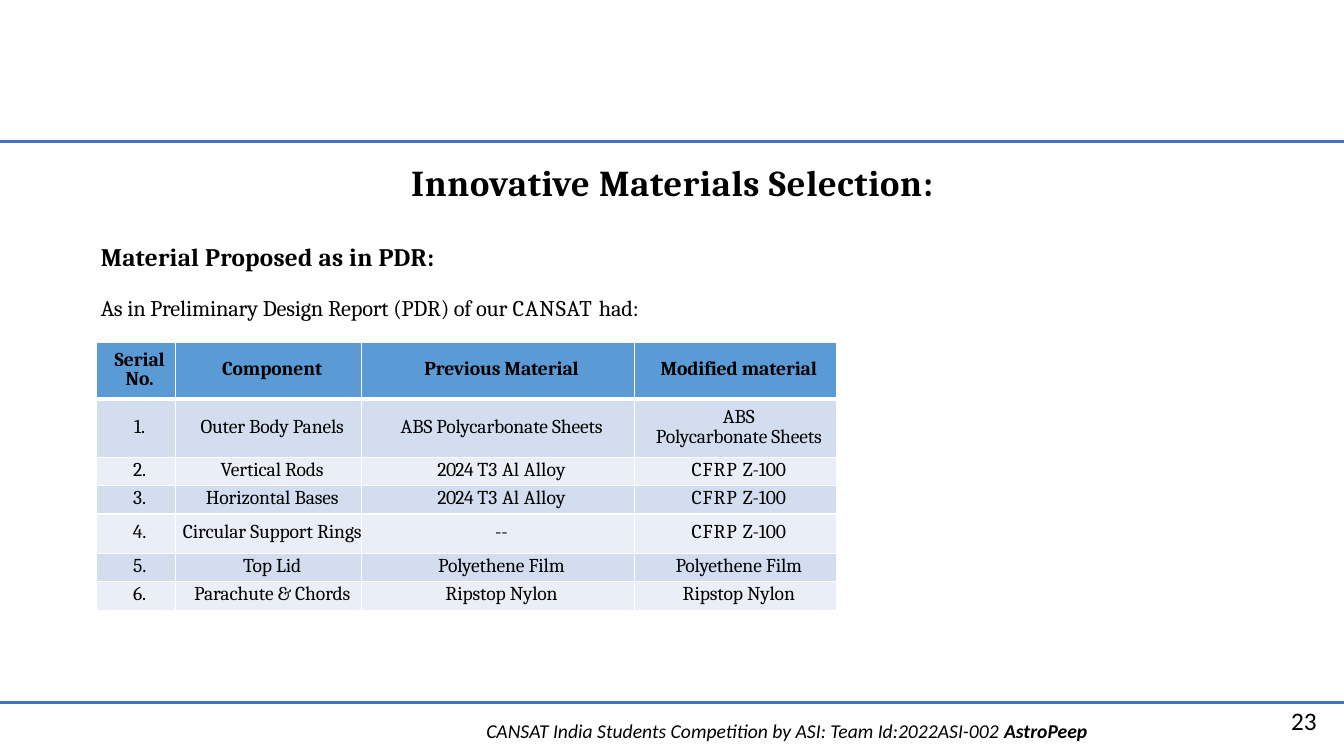
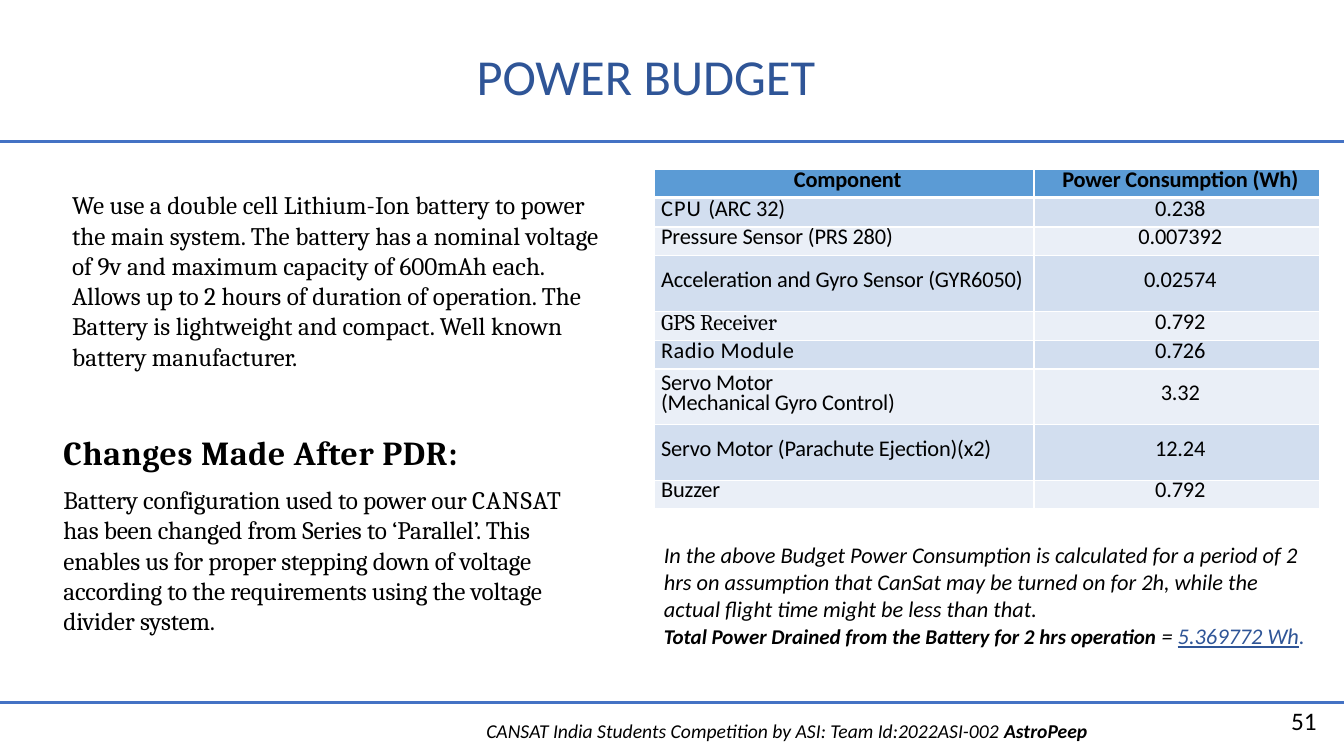
import pptx
import pptx.dml.color
import pptx.enum.shapes
import pptx.enum.text
import pptx.oxml
import pptx.oxml.ns
import pptx.util
from dataclasses import dataclass

Cm = pptx.util.Cm
Pt = pptx.util.Pt
LEFT = pptx.enum.text.PP_ALIGN.LEFT
CENTER = pptx.enum.text.PP_ALIGN.CENTER
RIGHT = pptx.enum.text.PP_ALIGN.RIGHT


@dataclass(frozen=True)
class Theme:
    serif: str = "Cambria"
    sans: str = "Calibri"
    ink: str = "000000"
    accent: str = "2F5597"
    rule: str = "4472C4"
    border: str = "FFFFFF"
    header: str = "5B9BD5"
    bands: tuple = ("D2DEEF", "EAEFF7")
    title: int = 36
    heading: int = 26
    subheading: int = 24
    body: int = 18
    note: int = 16
    total: int = 15
    small: int = 14


THEME = Theme()
SLIDE_WIDTH, SLIDE_HEIGHT = 33.87, 19.05
RULES = (3.56, 17.7)
TIGHT = (0.03, 0.03, 0, 0)
NORMAL = (0.25, 0.13, 0.25, 0.13)

# A paragraph is a string or a list of (text, format) spans.
FOOTER = [
    ("CANSAT India Students Competition by ASI: Team Id:2022ASI-002 ", {}),
    ("AstroPeep", {"bold": True}),
]
CFRP = [("CFRP ", {"spacing": 0.6}), ("Z-100", {})]
ALLOY = [("2024 ", {"spacing": -0.5}), ("T3 Al Alloy", {"spacing": 0.1})]

MATERIALS = {
    "place": (2.44, 8.64),
    "columns": (1.98, 4.7, 6.86, 5.1),
    "heights": (1.42, 1.47, 0.71, 0.71, 0.99, 0.71, 0.74),
    "aligns": (CENTER,) * 4,
    "style": {"size": THEME.small, "font": THEME.serif, "spacing": -0.1},
    "rows": [
        ("Serial No.", "Component", "Previous Material", "Modified material"),
        ("1.", "Outer Body Panels", "ABS Polycarbonate Sheets",
         "ABS\nPolycarbonate Sheets"),
        ("2.", "Vertical Rods", ALLOY, CFRP),
        ("3.", "Horizontal Bases", ALLOY, CFRP),
        ("4.", "Circular Support Rings", "--", CFRP),
        ("5.", "Top Lid", "Polyethene Film", "Polyethene Film"),
        ("6.", "Parachute & Chords", "Ripstop Nylon", "Ripstop Nylon"),
    ],
}

POWER = {
    "place": (16.48, 4.27),
    "columns": (9.58, 7.19),
    "heights": (0.71, 0.74, 0.71, 1.42, 0.74, 0.71, 1.4, 1.4, 0.71),
    "aligns": (LEFT, CENTER),
    "style": {"size": THEME.note, "font": THEME.sans, "spacing": -0.1},
    "rows": [
        ("Component", "Power Consumption (Wh)"),
        ([("CPU ", {"spacing": 0.8}), ("(ARC 32)", {})], "0.238"),
        ("Pressure Sensor (PRS 280)", "0.007392"),
        ("Acceleration and Gyro Sensor (GYR6050)", "0.02574"),
        ([("GPS Receiver", {"font": THEME.serif, "spacing": 0})], "0.792"),
        ([("Radio Module", {"spacing": 0.4})], "0.726"),
        ("Servo Motor\n(Mechanical Gyro Control)", "3.32"),
        ("Servo Motor (Parachute Ejection)(x2)", "12.24"),
        ("Buzzer", "0.792"),
    ],
}

BATTERY = (
    "We use a double cell Lithium-Ion battery to power the main system. "
    "The battery has a nominal voltage of 9v and maximum capacity of 600mAh "
    "each. Allows up to 2 hours of duration of operation. The Battery is "
    "lightweight and compact. Well known battery manufacturer."
)
CHANGES = [
    [("Changes Made After PDR:",
      {"size": THEME.subheading, "bold": True, "spacing": 0.45})],
    [("Battery configuration used to power our ", {}),
     ("CANSAT ", {"spacing": 0.7}),
     ("has been changed from Series to ‘Parallel’. This enables us for proper "
      "stepping down of voltage according to the requirements using the "
      "voltage divider system.", {})],
]
POWER_NOTE = [
    "In the above Budget Power Consumption is calculated for a period of 2 hrs "
    "on assumption that CanSat may be turned on for 2h, while the actual "
    "flight time might be less than that.",
    [("Total Power Drained from the Battery for 2 hrs operation ",
      {"size": THEME.total, "bold": True}),
     ("= ", {}),
     ("5.369772 Wh", {"color": THEME.accent, "underline": True}),
     (".", {"color": THEME.accent})],
]
PDR_INTRO = [
    ("As in Preliminary Design Report (PDR) of our ", {}),
    ("CANSAT ", {"spacing": 0.7}),
    ("had:", {}),
]


def rgb(value):
    return pptx.dml.color.RGBColor.from_string(value)


def write(para, text, size=THEME.body, font=THEME.sans, color=THEME.ink,
          bold=False, italic=False, underline=False, spacing=0):
    """Add one span; spacing is the letter spacing in points."""
    span = para.add_run()
    span.text = text
    span.font.size = Pt(size)
    span.font.name = font
    span.font.color.rgb = rgb(color)
    span.font.bold = bold
    span.font.italic = italic
    span.font.underline = underline
    if spacing:
        span._r.get_or_add_rPr().set("spc", str(round(spacing * 100)))


def fill_frame(frame, content, align=LEFT, line=None, before=0, **style):
    """Write a string, or a list of paragraphs, into a text frame."""
    paragraphs = content.split("\n") if isinstance(content, str) else content
    for index, spans in enumerate(paragraphs):
        para = frame.add_paragraph() if index else frame.paragraphs[0]
        para.alignment = align
        if line:
            para.line_spacing = Pt(line)
        if index and before:
            para.space_before = Pt(before)
        for text, extra in [(spans, {})] if isinstance(spans, str) else spans:
            write(para, text, **{**style, **extra})


def set_margins(target, margins):
    (target.margin_left, target.margin_top,
     target.margin_right, target.margin_bottom) = map(Cm, margins)


def add_box(page, place, content, margins=NORMAL, **style):
    box = page.shapes.add_textbox(*map(Cm, place))
    box.text_frame.word_wrap = True
    set_margins(box.text_frame, margins)
    fill_frame(box.text_frame, content, **style)


def add_rule(page, y):
    rule = page.shapes.add_connector(
        pptx.enum.shapes.MSO_CONNECTOR.STRAIGHT,
        0, Cm(y), Cm(SLIDE_WIDTH), Cm(y))
    rule.line.color.rgb = rgb(THEME.rule)
    rule.line.width = Pt(2)
    rule._element.spPr.append(pptx.oxml.parse_xml(
        f"<a:effectLst {pptx.oxml.ns.nsdecls('a')}/>"))


def set_borders(cell, top, bottom):
    widths = {"lnL": 1, "lnR": 1, "lnT": top, "lnB": bottom}
    for tag, width in widths.items():
        cell._tc.get_or_add_tcPr().append(pptx.oxml.parse_xml(
            f'<a:{tag} {pptx.oxml.ns.nsdecls("a")} w="{Pt(width)}">'
            f'<a:solidFill><a:srgbClr val="{THEME.border}"/></a:solidFill>'
            f"</a:{tag}>"))


def add_table(page, place, columns, heights, aligns, style, rows):
    frame = page.shapes.add_table(
        len(rows), len(columns), *map(Cm, place),
        Cm(sum(columns)), Cm(sum(heights)))
    table = frame.table
    for column, width in zip(table.columns, columns):
        column.width = Cm(width)
    for r, (row, height) in enumerate(zip(rows, heights)):
        table.rows[r].height = Cm(height)
        header = r == 0
        for c, content in enumerate(row):
            cell = table.cell(r, c)
            set_borders(cell, 3 if r == 1 else 1, 3 if header else 1)
            cell.fill.solid()
            cell.fill.fore_color.rgb = rgb(
                THEME.header if header else THEME.bands[(r - 1) % 2])
            cell.vertical_anchor = pptx.enum.text.MSO_ANCHOR.MIDDLE
            set_margins(cell, (0.18, 0, 0, 0))
            paragraphs = content if isinstance(content, str) else [content]
            fill_frame(cell.text_frame, paragraphs, line=14, bold=header,
                       align=CENTER if header else aligns[c], **style)


def add_page(deck, number):
    """Add a blank page with the shared rules, footer and page number."""
    page = deck.slides.add_slide(deck.slide_layouts[6])
    add_box(page, (11.89, 17.98, 15.88, 0.86), [FOOTER], align=CENTER,
            size=THEME.small, italic=True)
    for y in RULES:
        add_rule(page, y)
    add_box(page, (25.81, 17.65, 7.62, 1.02), str(number), align=RIGHT)
    return page


def build_materials(deck):
    page = add_page(deck, 23)
    add_box(page, (0, 4.01, SLIDE_WIDTH, 1.17), "Innovative Materials Selection:",
            margins=TIGHT, align=CENTER, size=THEME.heading, font=THEME.serif,
            bold=True, spacing=0.45)
    add_box(page, (2.51, 6.05, 8.92, 0.84), "Material Proposed as in PDR:",
            margins=TIGHT, font=THEME.serif, bold=True, spacing=0.2)
    add_box(page, (2.51, 7.37, 14.73, 0.71), [PDR_INTRO], margins=TIGHT,
            size=THEME.note, font=THEME.serif, spacing=-0.1)
    add_table(page, **MATERIALS)


def build_power(deck):
    page = add_page(deck, 51)
    add_table(page, **POWER)
    add_box(page, (1.57, 4.65, 13.77, 4.88), BATTERY, font=THEME.serif)
    add_box(page, (1.57, 10.85, 13.46, 5.23), CHANGES, margins=TIGHT, before=8.9,
            font=THEME.serif, spacing=-0.13)
    add_box(page, (16.48, 13.51, 16.76, 3), POWER_NOTE, size=THEME.note,
            italic=True)
    add_box(page, (7.77, 1.02, 17.02, 1.8), "POWER BUDGET", align=CENTER,
            size=THEME.title, color=THEME.accent)


def main():
    deck = pptx.Presentation()
    deck.slide_width, deck.slide_height = Cm(SLIDE_WIDTH), Cm(SLIDE_HEIGHT)
    build_materials(deck)
    build_power(deck)
    deck.save("out.pptx")


if __name__ == "__main__":
    main()
